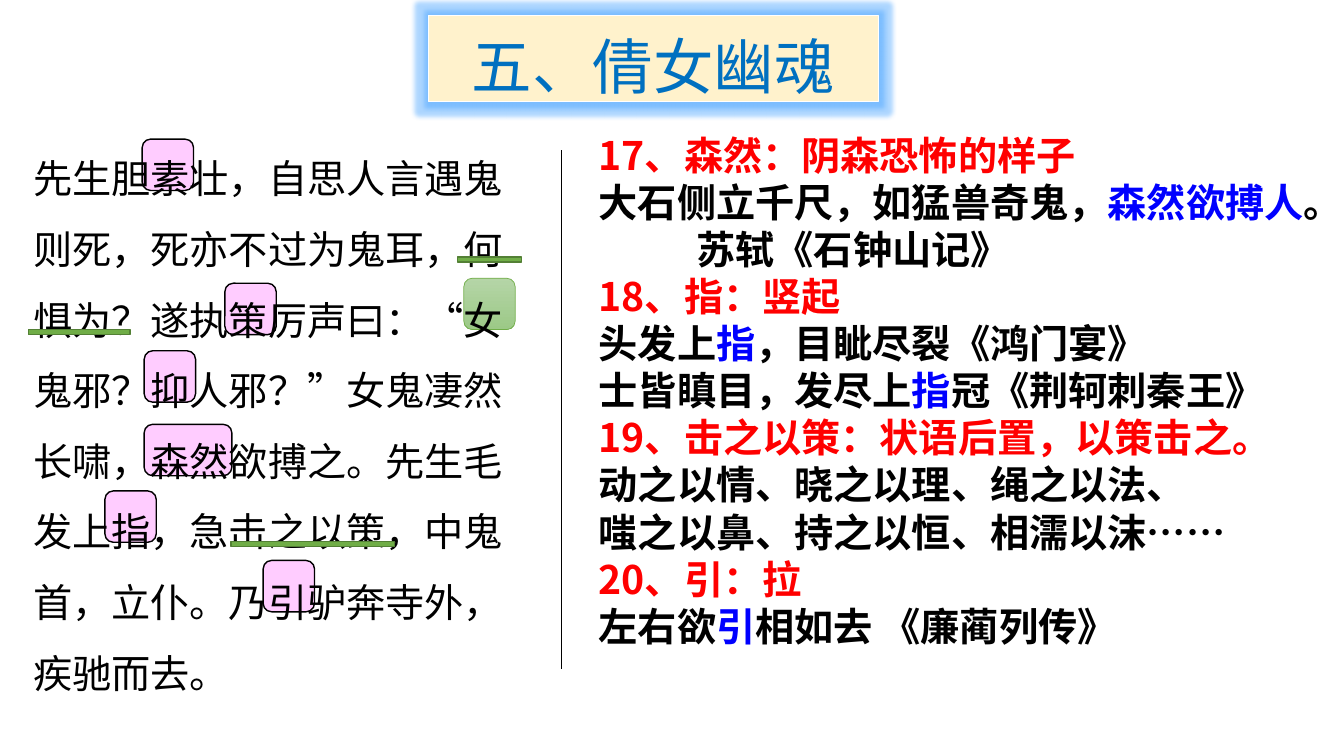
from dataclasses import dataclass

from lxml.etree import SubElement
from pptx import Presentation
from pptx.dml.color import RGBColor
from pptx.enum.shapes import MSO_CONNECTOR, MSO_SHAPE
from pptx.enum.text import MSO_ANCHOR, PP_ALIGN
from pptx.oxml.ns import qn
from pptx.shapes.autoshape import Shape
from pptx.slide import Slide
from pptx.text.text import TextFrame
from pptx.util import Inches, Pt

FONT = "Noto Sans CJK SC"
BLACK, RED, BLUE = "000000", "FF0000", "0000FF"
PINK, GREEN, DARK_GREEN = "FFCCFF", "70AD47", "538035"
MARK_SIZE, RULE_HEIGHT = 0.51, 0.05
NATURAL_LINE = 33.65

STORY = (
    "先生胆素壮，自思人言遇鬼则死，死亦不过为鬼耳，何惧为？遂执策厉声曰：“女鬼邪？抑人邪？”"
    "女鬼凄然长啸，森然欲搏之。先生毛发上指，急击之以策，中鬼首，立仆。乃引驴奔寺外，疾驰而去。"
)


@dataclass
class WordMark:
    left: float
    top: float
    width: float = MARK_SIZE
    gradient: bool = False


@dataclass
class Underline:
    left: float
    top: float
    width: float


@dataclass
class Note:
    phrases: list[tuple[str, str]]
    indent: float = 0


WORD_MARKS = [
    WordMark(2.61, 5.56),
    WordMark(1.04, 4.87),
    WordMark(1.43, 4.21, 0.87),
    WordMark(1.43, 3.48),
    WordMark(4.6, 2.76, gradient=True),
    WordMark(2.23, 2.81),
    WordMark(1.41, 1.38),
]
UNDERLINES = [
    Underline(0.28, 3.27, 1.01),
    Underline(4.54, 2.55, 0.63),
    Underline(2.29, 5.37, 1.62),
]
NOTES = [
    Note([("17、森然：阴森恐怖的样子", RED)]),
    Note([("大石侧立千尺，如猛兽奇鬼，", BLACK), ("森然欲搏人", BLUE), ("。", BLACK)]),
    Note([("苏轼《石钟山记》", BLACK)], indent=0.97),
    Note([("18、指：竖起", RED)]),
    Note([("头发上", BLACK), ("指", BLUE), ("，目眦尽裂《鸿门宴》", BLACK)]),
    Note([("士皆瞋目，发尽上", BLACK), ("指", BLUE), ("冠《荆轲刺秦王》", BLACK)]),
    Note([("19、击之以策：状语后置，以策击之。", RED)]),
    Note([("动之以情、晓之以理、绳之以法、", BLACK)]),
    Note([("嗤之以鼻、持之以恒、相濡以沫……", BLACK)]),
    Note([("20、引：拉", RED)]),
    Note([("左右欲", BLACK), ("引", BLUE), ("相如去 《廉蔺列传》", BLACK)]),
]


def rgb(value: str) -> RGBColor:
    return RGBColor.from_string(value)


def style_run(run, size: float, color: str, bold: bool = False) -> None:
    run.font.size = Pt(size)
    run.font.bold = bold
    run.font.name = FONT
    run.font.color.rgb = rgb(color)
    properties = run.font._element
    properties.set("lang", "zh-CN")
    SubElement(properties, qn("a:ea")).set("typeface", FONT)


def add_block(slide: Slide, kind: MSO_SHAPE, left: float, top: float, width: float,
              height: float, fill: str, line: str, line_width: float) -> Shape:
    block = slide.shapes.add_shape(
        kind, Inches(left), Inches(top), Inches(width), Inches(height))
    block.shadow.inherit = False
    block.fill.solid()
    block.fill.fore_color.rgb = rgb(fill)
    block.line.color.rgb = rgb(line)
    block.line.width = Pt(line_width)
    return block


def add_word_mark(slide: Slide, mark: WordMark) -> None:
    line, width = (GREEN, 0.5) if mark.gradient else (BLACK, 1)
    block = add_block(slide, MSO_SHAPE.ROUNDED_RECTANGLE, mark.left, mark.top,
                      mark.width, MARK_SIZE, PINK, line, width)
    if mark.gradient:
        block.fill.gradient()
        block.fill.gradient_angle = 270
        for stop, color in zip(block.fill.gradient_stops, ("B5D5A7", "9CC987")):
            stop.color.rgb = rgb(color)


def add_title(slide: Slide) -> None:
    title = add_block(slide, MSO_SHAPE.RECTANGLE, 4.25, 0.15, 4.46, 0.86,
                      "FFF2CC", "FFFFFF", 0.5)
    effects = title._element.spPr.find(qn("a:effectLst"))
    glow = SubElement(effects, qn("a:glow"), rad=str(Inches(0.09)))
    glow_color = SubElement(glow, qn("a:srgbClr"), val="3399FF")
    SubElement(glow_color, qn("a:alpha"), val="40000")
    frame = title.text_frame
    frame.vertical_anchor = MSO_ANCHOR.MIDDLE
    frame.text = "五、倩女幽魂"
    heading = frame.paragraphs[0]
    heading.alignment = PP_ALIGN.CENTER
    heading.line_spacing = 1.2
    style_run(heading.runs[0], 43.2, "0070C0")


def add_text_area(slide: Slide, left: float, top: float, width: float,
                  height: float) -> TextFrame:
    area = slide.shapes.add_textbox(
        Inches(left), Inches(top), Inches(width), Inches(height))
    frame = area.text_frame
    frame.word_wrap = True
    frame.margin_top = Inches(0.09)
    return frame


def add_story(slide: Slide) -> None:
    frame = add_text_area(slide, -0.02, 1.21, 5.19, 6.44)
    frame.text = STORY
    story = frame.paragraphs[0]
    story.line_spacing = Pt(1.5 * NATURAL_LINE)
    story._p.get_or_add_pPr().set("marL", str(Inches(0.25)))
    style_run(story.runs[0], 28, BLACK)


def add_notes(slide: Slide) -> None:
    frame = add_text_area(slide, 5.84, 1.21, 7.36, 5.76)
    for index, note in enumerate(NOTES):
        paragraph = frame.add_paragraph() if index else frame.paragraphs[0]
        paragraph.line_spacing = Pt(NATURAL_LINE)
        if note.indent:
            paragraph._p.get_or_add_pPr().set("marL", str(Inches(note.indent)))
        for words, color in note.phrases:
            run = paragraph.add_run()
            run.text = words
            style_run(run, 28, color, bold=True)


def add_divider(slide: Slide) -> None:
    divider = slide.shapes.add_connector(
        MSO_CONNECTOR.STRAIGHT, Inches(5.57), Inches(1.49), Inches(5.57), Inches(6.64))
    divider.line.color.rgb = rgb(BLACK)
    divider.line.width = Pt(0.5)
    SubElement(divider._element.spPr, qn("a:effectLst"))


def main() -> None:
    presentation = Presentation()
    presentation.slide_width = Inches(13.33)
    presentation.slide_height = Inches(7.5)
    slide = presentation.slides.add_slide(presentation.slide_layouts[6])
    for mark in WORD_MARKS:
        add_word_mark(slide, mark)
    add_title(slide)
    add_story(slide)
    add_divider(slide)
    add_notes(slide)
    for rule in UNDERLINES:
        add_block(slide, MSO_SHAPE.RECTANGLE, rule.left, rule.top, rule.width,
                  RULE_HEIGHT, GREEN, DARK_GREEN, 1)
    presentation.save("out.pptx")


if __name__ == "__main__":
    main()
